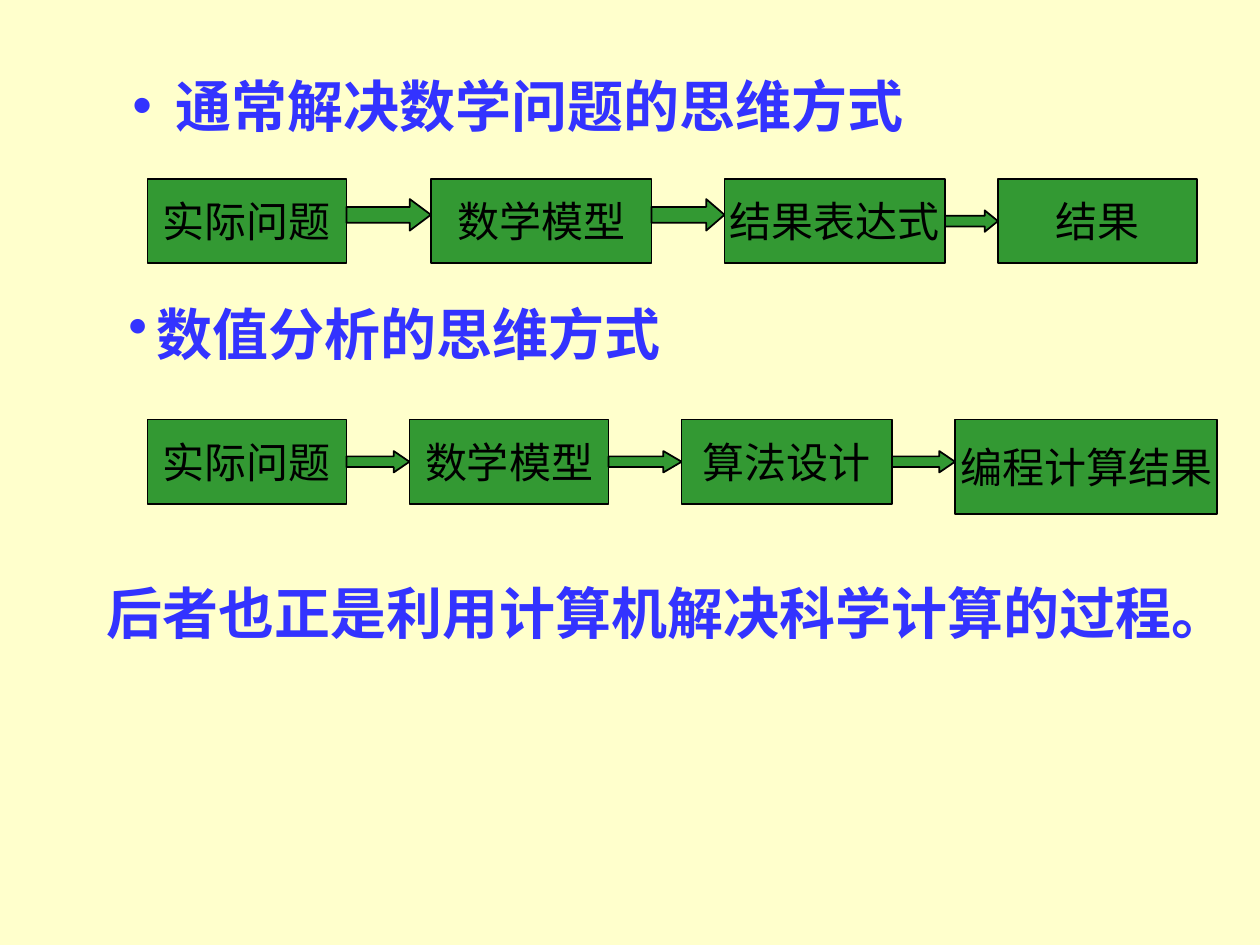
from pptx import Presentation
from pptx.dml.color import RGBColor
from pptx.enum.shapes import MSO_SHAPE
from pptx.enum.text import MSO_ANCHOR, PP_ALIGN
from pptx.oxml.xmlchemy import OxmlElement
from pptx.util import Inches, Pt

CREAM = RGBColor(0xFF, 0xFF, 0xCC)
BLUE = RGBColor(0x33, 0x33, 0xFF)
GREEN = RGBColor(0x33, 0x99, 0x33)
BLACK = RGBColor(0, 0, 0)
PROCESS, ARROW = MSO_SHAPE.FLOWCHART_PROCESS, MSO_SHAPE.RIGHT_ARROW
MIDDLE, CENTER = MSO_ANCHOR.MIDDLE, PP_ALIGN.CENTER

HEADING = {"name": "Times New Roman", "size": Pt(32), "bold": True}
CONCLUSION = {"name": "Cabin", "size": Pt(32), "bold": True}
STEP = {"name": "Cabin", "size": Pt(24), "bold": False}

FLOW_LEFT = 1.17
# Steps: text, width, height. Arrows: top, length, height.
USUAL_STEPS = [("实际问题", 1.58, 0.67), ("数学模型", 1.75, 0.67),
               ("结果表达式", 1.75, 0.67), ("结果", 1.58, 0.67)]
USUAL_ARROWS = [(1.58, 0.67, 0.25), (1.58, 0.58, 0.25), (1.67, 0.42, 0.17)]
NUMERIC_STEPS = [("实际问题", 1.58, 0.67), ("数学模型", 1.58, 0.67),
                 ("算法设计", 1.67, 0.67), ("编程计算结果", 2.08, 0.75)]
NUMERIC_ARROWS = [(3.58, 0.5, 0.17), (3.58, 0.58, 0.17), (3.58, 0.5, 0.17)]


def write_text(box, text, style, color):
    """Fill the first paragraph of a box and return it."""
    para = box.text_frame.paragraphs[0]
    span = para.add_run()
    span.text = text
    for name, value in style.items():
        setattr(span.font, name, value)
    span.font.color.rgb = color
    para.space_before = Pt(0)
    return para


def add_bullet(para, margin, hanging):
    """Give a paragraph a blue round bullet with a hanging indent."""
    properties = para._p.get_or_add_pPr()
    properties.set("marL", str(Inches(margin)))
    properties.set("indent", str(-Inches(hanging)))
    bullet_color = OxmlElement("a:buClr")
    value = OxmlElement("a:srgbClr")
    value.set("val", str(BLUE))
    bullet_color.append(value)
    bullet = OxmlElement("a:buChar")
    bullet.set("char", "•")
    properties.extend([bullet_color, bullet])


def add_text_box(slide, left, top, width, height, text, style):
    """Add a wrapping line of blue text and return its paragraph."""
    box = slide.shapes.add_textbox(*map(Inches, (left, top, width, height)))
    box.text_frame.word_wrap = True
    return write_text(box, text, style, BLUE)


def add_green_shape(slide, kind, left, top, width, height):
    """Add a green preset shape with a thin black outline."""
    shape = slide.shapes.add_shape(kind, *map(Inches, (left, top, width, height)))
    shape.shadow.inherit = False
    shape.fill.solid()
    shape.fill.fore_color.rgb = GREEN
    shape.line.color.rgb = BLACK
    shape.line.width = Pt(1)
    return shape


def add_flow(slide, top, steps, arrows):
    """Lay out steps from left to right with an arrow filling each gap."""
    left = FLOW_LEFT
    for index, (text, width, height) in enumerate(steps):
        box = add_green_shape(slide, PROCESS, left, top, width, height)
        box.text_frame.word_wrap = False
        box.text_frame.vertical_anchor = MIDDLE
        write_text(box, text, STEP, BLACK).alignment = CENTER
        left += width
        if index < len(arrows):
            arrow_top, length, thickness = arrows[index]
            arrow = add_green_shape(slide, ARROW, left, arrow_top, length, thickness)
            arrow.adjustments[1] = length / thickness / 4
            left += length


def main():
    """Build the slide on two ways of thinking."""
    deck = Presentation()
    deck.slide_width, deck.slide_height = Inches(10), Inches(7.5)
    slide = deck.slides.add_slide(deck.slide_layouts[1])
    slide.background.fill.solid()
    slide.background.fill.fore_color.rgb = CREAM
    title = slide.shapes.title.element
    title.getparent().remove(title)

    body = slide.placeholders[1]
    body.left, body.top, body.width, body.height = map(Inches, (0.83, 0.52, 8.5, 1.9))
    para = write_text(body, "通常解决数学问题的思维方式", HEADING, BLUE)
    add_bullet(para, 0.46, 0.34)
    add_flow(slide, 1.42, USUAL_STEPS, USUAL_ARROWS)

    para = add_text_box(slide, 0.92, 2.33, 4.92, 0.64, "数值分析的思维方式", HEADING)
    add_bullet(para, 0.22, 0.22)
    add_flow(slide, 3.33, NUMERIC_STEPS, NUMERIC_ARROWS)

    add_text_box(slide, 0.75, 4.54, 9.17, 0.64,
                 "后者也正是利用计算机解决科学计算的过程。", CONCLUSION)
    deck.save("out.pptx")


if __name__ == "__main__":
    main()
